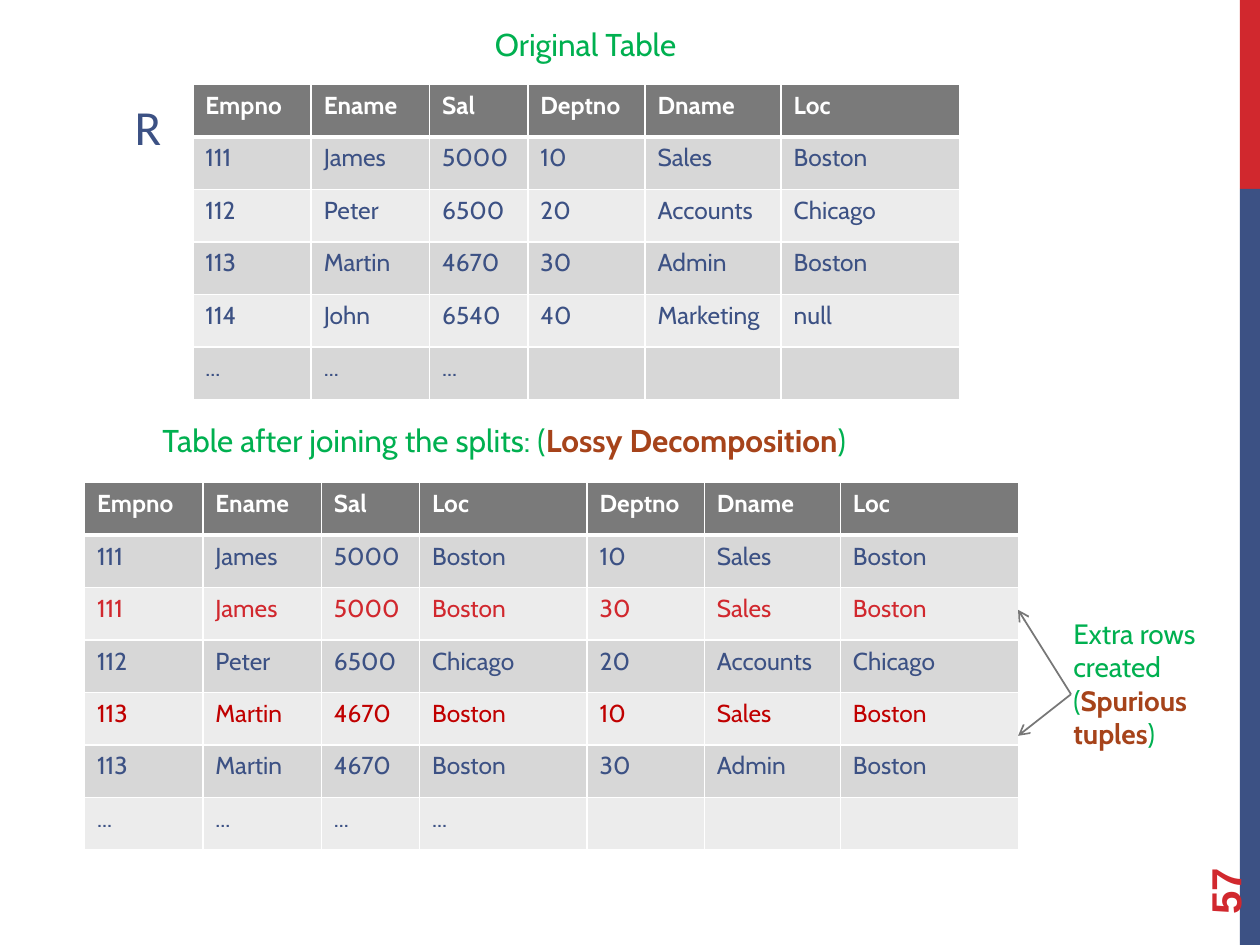
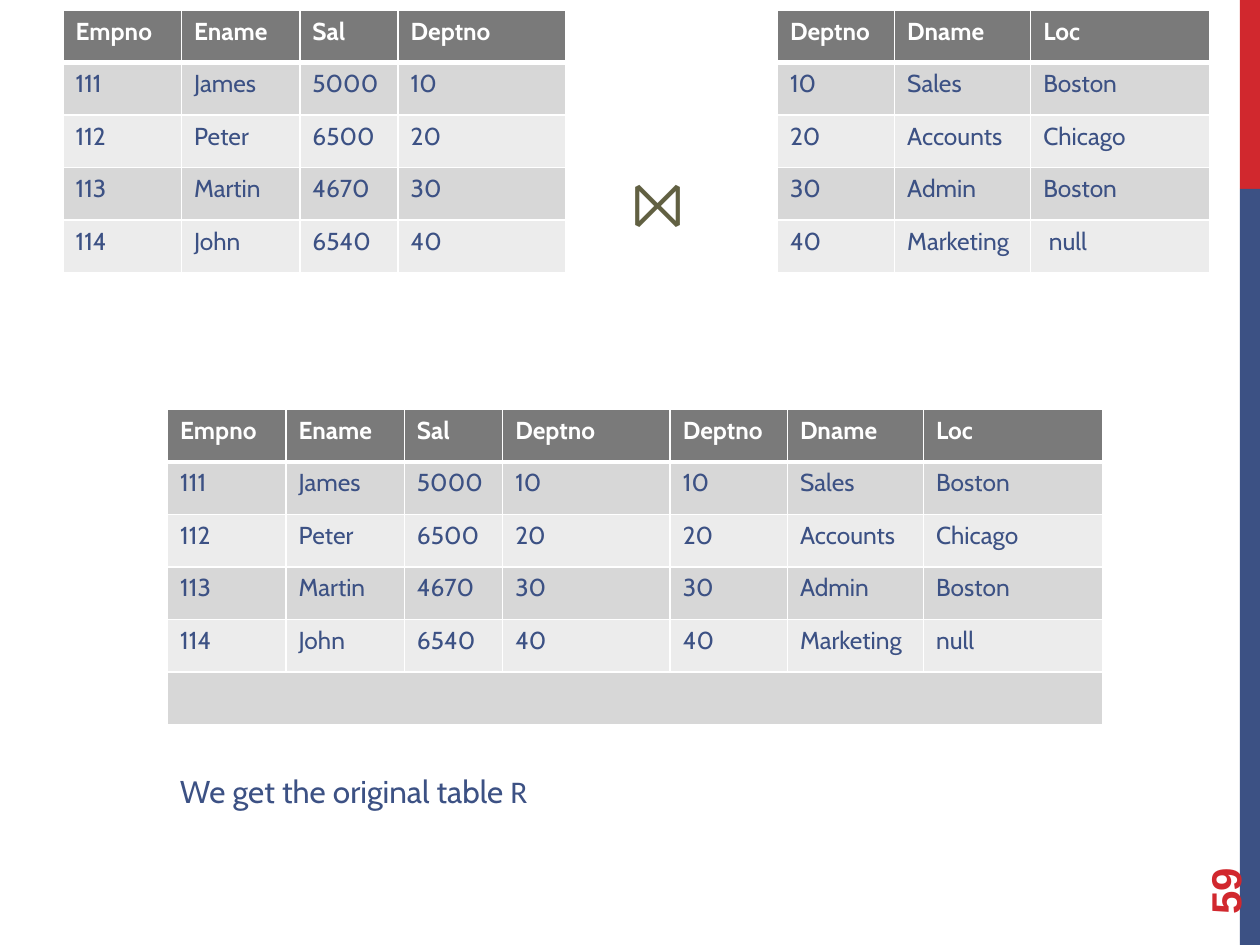
from lxml.etree import SubElement
from pptx import Presentation
from pptx.dml.color import RGBColor
from pptx.enum.shapes import MSO_CONNECTOR, MSO_SHAPE
from pptx.enum.text import MSO_ANCHOR, MSO_AUTO_SIZE
from pptx.oxml import parse_xml
from pptx.oxml.ns import nsdecls, qn
from pptx.util import Inches, Pt

RED = RGBColor(0xD1, 0x28, 0x2E)
DARK_RED = RGBColor(0xC0, 0x00, 0x00)
BLUE = RGBColor(0x3C, 0x51, 0x84)
GREEN = RGBColor(0x00, 0xB0, 0x50)
RUST = RGBColor(0xA6, 0x43, 0x1A)
OLIVE = RGBColor(0x61, 0x60, 0x42)
WHITE = RGBColor(0xFF, 0xFF, 0xFF)
HEADER_GREY = RGBColor(0x7A, 0x7A, 0x7A)
BAND_GREYS = (RGBColor(0xD7, 0xD7, 0xD7), RGBColor(0xEC, 0xEC, 0xEC))
ARROW_GREY = RGBColor(0x77, 0x77, 0x77)

ROW_HEIGHT = Inches(5 / 12)
EMPLOYEE_WIDTHS = (0.94, 0.94, 0.78)
KEY_WIDTHS = (1.33,)
DEPARTMENT_WIDTHS = (0.93, 1.08, 1.42)
JOINED_WIDTHS = EMPLOYEE_WIDTHS + KEY_WIDTHS + DEPARTMENT_WIDTHS

EMPLOYEE_HEADS = ("Empno", "Ename", "Sal")
DEPARTMENT_HEADS = ("Deptno", "Dname", "Loc")
JAMES = ("111", "James", "5000")
PETER = ("112", "Peter", "6500")
MARTIN = ("113", "Martin", "4670")
JOHN = ("114", "John", "6540")
EMPLOYEES = (JAMES, PETER, MARTIN, JOHN)
SALES = ("10", "Sales", "Boston")
ACCOUNTS = ("20", "Accounts", "Chicago")
ADMIN = ("30", "Admin", "Boston")
MARKETING = ("40", "Marketing", "null")
DEPARTMENTS = (SALES, ACCOUNTS, ADMIN, MARKETING)


def add_run(paragraph, text, size=18, color=BLUE, bold=False, font="Cabin"):
    """Append one formatted run to a paragraph."""
    run = paragraph.add_run()
    run.text = text
    run.font.size = Pt(size)
    run.font.color.rgb = color
    run.font.bold = bold
    run.font.name = font


def add_label(slide, box, *pieces, wrap=False, **style):
    """Place a text box whose pieces are (text, overrides) pairs."""
    label = slide.shapes.add_textbox(*map(Inches, box))
    frame = label.text_frame
    frame.word_wrap = wrap
    frame.auto_size = MSO_AUTO_SIZE.SHAPE_TO_FIT_TEXT
    for text, overrides in pieces:
        add_run(frame.paragraphs[0], text, **{**style, **overrides})
    return label


def add_borders(cell, top, bottom):
    """Draw white borders around a table cell, widths in points."""
    properties = cell._tc.get_or_add_tcPr()
    sides = (("lnL", 1), ("lnR", 1), ("lnT", top), ("lnB", bottom))
    for position, (side, width) in enumerate(sides):
        properties.insert(position, parse_xml(
            f'<a:{side} {nsdecls("a")} w="{Pt(width)}"><a:solidFill>'
            f'<a:srgbClr val="{WHITE}"/></a:solidFill></a:{side}>'))


def add_relation(slide, left, top, widths, heads, rows, row_colors=None):
    """Place a relation as a banded table with a dark heading row."""
    lines = [heads, *rows]
    table = slide.shapes.add_table(
        len(lines), len(widths), Inches(left), Inches(top),
        Inches(sum(widths)), ROW_HEIGHT * len(lines)).table
    table.horz_banding = False
    for column, width in zip(table.columns, widths):
        column.width = Inches(width)
    for index, values in enumerate(lines):
        table.rows[index].height = ROW_HEIGHT
        is_head = index == 0
        color = WHITE if is_head else (row_colors or {}).get(index, BLUE)
        for column, cell in enumerate(table.rows[index].cells):
            cell.fill.solid()
            cell.fill.fore_color.rgb = HEADER_GREY if is_head else BAND_GREYS[(index - 1) % 2]
            add_borders(cell, 3 if index == 1 else 1, 3 if is_head else 1)
            if column < len(values):
                add_run(cell.text_frame.paragraphs[0], values[column],
                        size=14, color=color, bold=is_head)
    return table


def add_arrow(slide, start, end):
    """Draw a thin grey arrow between two points."""
    arrow = slide.shapes.add_connector(
        MSO_CONNECTOR.STRAIGHT, *map(Inches, (*start, *end)))
    arrow.line.color.rgb = ARROW_GREY
    arrow.line.width = Pt(1)
    SubElement(arrow.line._get_or_add_ln(), qn("a:tailEnd"), type="arrow")
    SubElement(arrow._element.spPr, qn("a:effectLst"))


def add_side_band(slide, page_number, left=9.84):
    """Place the two-colour band on the right and the turned page number."""
    for top, height, color in ((0, 1.5, RED), (1.5, 6, BLUE)):
        band = slide.shapes.add_shape(
            MSO_SHAPE.RECTANGLE, *map(Inches, (left, top, 0.16, height)))
        band.shadow.inherit = False
        band.fill.solid()
        band.fill.fore_color.rgb = color
        band.line.fill.background()
    number = add_label(slide, (left - 0.84, 6.44, 1.44, 0.4), (page_number, {}),
                       wrap=True, size=24, color=RED, bold=True, font="Arial")
    number.text_frame.auto_size = MSO_AUTO_SIZE.NONE
    number.text_frame.vertical_anchor = MSO_ANCHOR.MIDDLE
    number.rotation = 270


def add_spurious_note(slide, left, top):
    """Place the note on the extra rows and its arrows to them."""
    add_label(slide, (left + 0.34, top, 1.3, 1.18),
              ("Extra rows created (", {}),
              ("Spurious tuples", {"color": RUST, "bold": True}), (")", {}),
              wrap=True, size=16, color=GREEN)
    for row_offset in (0, 1):
        add_arrow(slide, (left + 0.42, top + 0.67), (left, top + row_offset))


def build_lossy_slide(slide):
    """Show the relation and the lossy result of joining its splits."""
    add_side_band(slide, "57")
    full_rows = [e + d for e, d in zip(EMPLOYEES, DEPARTMENTS)]
    add_relation(slide, 1.53, 0.67, EMPLOYEE_WIDTHS + DEPARTMENT_WIDTHS,
                 EMPLOYEE_HEADS + DEPARTMENT_HEADS, full_rows + [("...",) * 3])
    lossy_pairs = ((JAMES, SALES), (JAMES, ("30", "Sales", "Boston")),
                   (PETER, ACCOUNTS), (MARTIN, SALES), (MARTIN, ADMIN))
    lossy_rows = [e + d[-1:] + d for e, d in lossy_pairs]
    add_relation(slide, 0.67, 3.83, JOINED_WIDTHS,
                 EMPLOYEE_HEADS + ("Loc",) + DEPARTMENT_HEADS,
                 lossy_rows + [("...",) * 4], {2: RED, 4: DARK_RED})
    add_label(slide, (0.97, 0.72, 0.45, 0.57), ("R", {}), size=28, font="Calibri")
    add_label(slide, (1.19, 3.29, 6.32, 0.4),
              ("Table after joining the splits: (", {}),
              ("Lossy Decomposition", {"color": RUST, "bold": True}), (")", {}),
              color=GREEN)
    add_spurious_note(slide, 8.08, 4.84)
    add_label(slide, (3.83, 0.15, 1.72, 0.4), ("Original Table", {}), color=GREEN)


def build_lossless_slide(slide):
    """Show the join on Deptno that gives the relation back."""
    add_side_band(slide, "59")
    pairs = list(zip(EMPLOYEES, DEPARTMENTS))
    keyed_heads = EMPLOYEE_HEADS + ("Deptno",)
    add_relation(slide, 0.5, 0.08, EMPLOYEE_WIDTHS + KEY_WIDTHS, keyed_heads,
                 [e + d[:1] for e, d in pairs])
    add_relation(slide, 6.17, 0.08, DEPARTMENT_WIDTHS, DEPARTMENT_HEADS,
                 [*DEPARTMENTS[:3], ("40", "Marketing", " null")])
    add_label(slide, (4.92, 1.25, 0.72, 0.71), ("⨝", {}),
              size=36, color=OLIVE, bold=True)
    joined = add_relation(slide, 1.33, 3.25, JOINED_WIDTHS,
                          keyed_heads + DEPARTMENT_HEADS,
                          [e + d[:1] + d for e, d in pairs] + [()])
    joined.cell(5, 0).merge(joined.cell(5, 6))
    add_label(slide, (1.33, 6.08, 3.19, 0.4),
              ("We get the original table ", {}), ("R", {"font": "Calibri"}))


def main():
    """Build both slides and save the presentation."""
    presentation = Presentation()
    presentation.slide_width = Inches(10)
    presentation.slide_height = Inches(7.5)
    for build_slide in (build_lossy_slide, build_lossless_slide):
        build_slide(presentation.slides.add_slide(presentation.slide_layouts[6]))
    presentation.save("out.pptx")


if __name__ == "__main__":
    main()
